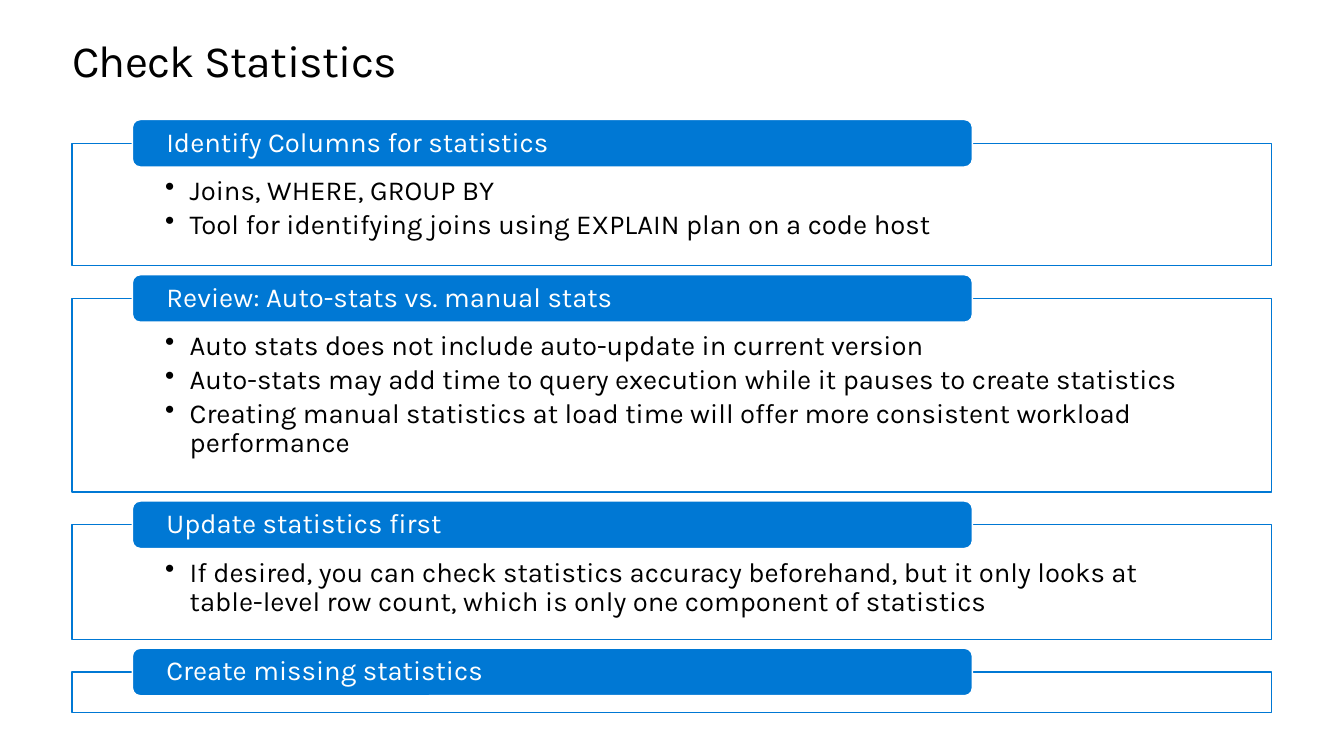
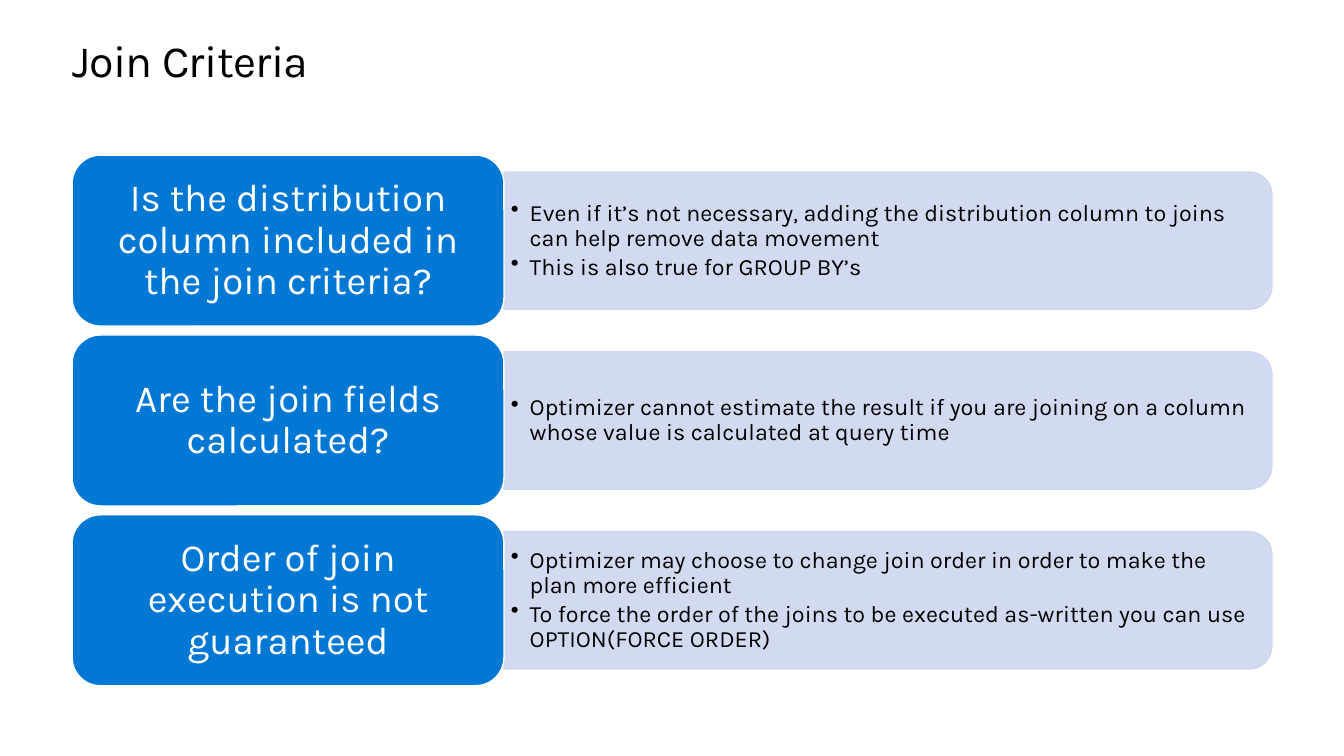
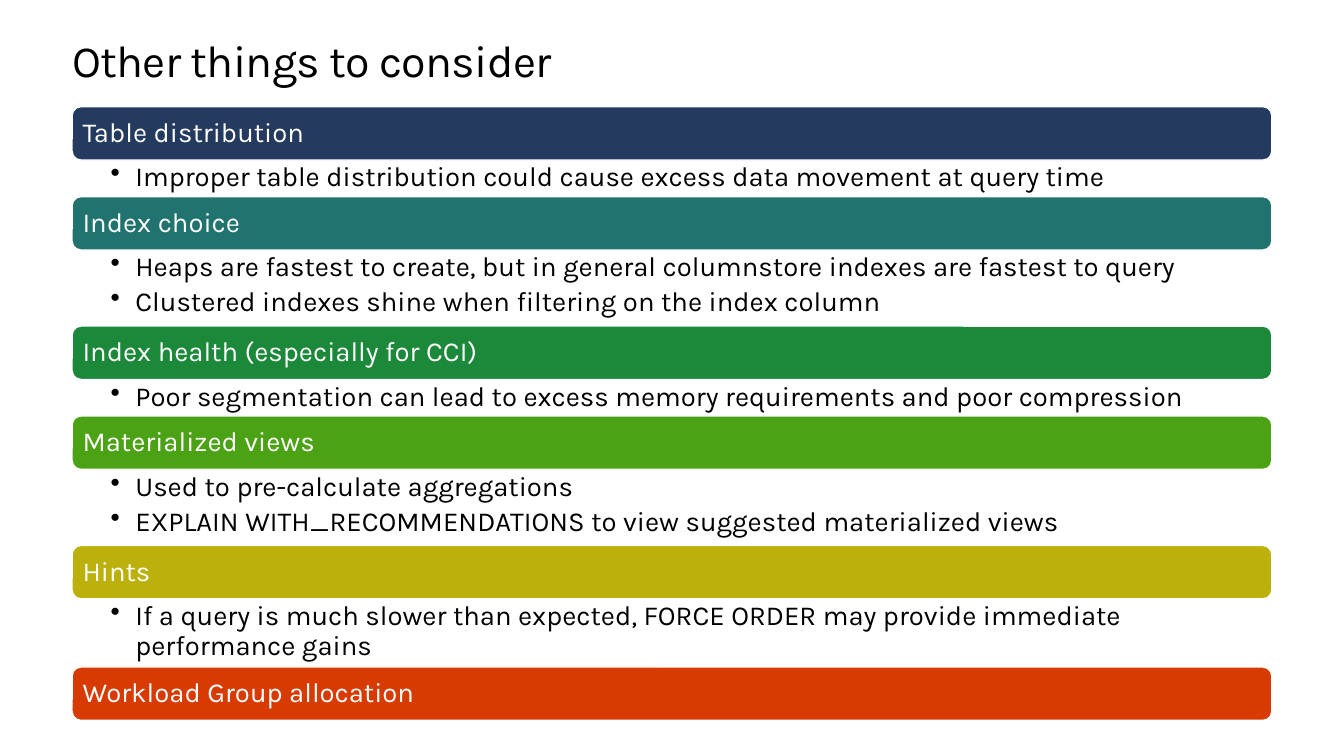
from dataclasses import dataclass

import pptx
import pptx.dml.color
import pptx.enum.shapes
import pptx.enum.text
import pptx.oxml
import pptx.oxml.ns
import pptx.util
from lxml import etree
from pptx.util import Inches

SHAPE = pptx.enum.shapes.MSO_SHAPE
ANCHOR = pptx.enum.text.MSO_ANCHOR
ALIGN = pptx.enum.text.PP_ALIGN
qn = pptx.oxml.ns.qn

FONT = "Karla"
COLORS = {
    "white": "FFFFFF",
    "black": "000000",
    "blue": "0078D4",
    "pale": "CCD6EF",
    "navy": "243A5E",
    "teal": "21736F",
    "green": "1C893A",
    "lime": "4CA215",
    "mustard": "BCB10C",
    "orange": "D83B01",
}
LEFT, WIDTH = 0.73, 12.14
HEADING_SIZE = 20


@dataclass(frozen=True)
class Box:
    left: float
    top: float
    width: float
    height: float

    def lengths(self) -> list:
        return [Inches(v) for v in (self.left, self.top, self.width, self.height)]


@dataclass(frozen=True)
class Topic:
    """A heading with its points; height is the room the points take."""
    heading: str
    points: tuple[str, ...] = ()
    height: float = 0
    color: str = "blue"


@dataclass(frozen=True)
class BulletStyle:
    size: float
    indent: float
    space_after: float


STATISTICS = [
    Topic("Identify Columns for statistics",
          ("Joins, WHERE, GROUP BY",
           "Tool for identifying joins using EXPLAIN plan on a code host"), 1.24),
    Topic("Review: Auto-stats vs. manual stats",
          ("Auto stats does not include auto-update in current version",
           "Auto-stats may add time to query execution while it pauses to create statistics",
           "Creating manual statistics at load time will offer more consistent workload "
           "performance"), 1.96),
    Topic("Update statistics first",
          ("If desired, you can check statistics accuracy beforehand, but it only looks at "
           "table-level row count, which is only one component of statistics",), 1.16),
    Topic("Create missing statistics", height=0.41),
]
JOINS = [
    Topic("Is the distribution column included in the join criteria?",
          ("Even if it’s not necessary, adding the distribution column to joins can help "
           "remove data movement",
           "This is also true for GROUP BY’s")),
    Topic("Are the join fields calculated?",
          ("Optimizer cannot estimate the result if you are joining on a column whose value "
           "is calculated at query time",)),
    Topic("Order of join execution is not guaranteed",
          ("Optimizer may choose to change join order in order to make the plan more efficient",
           "To force the order of the joins to be executed as-written you can use "
           "OPTION(FORCE ORDER)")),
]
CONSIDERATIONS = [
    Topic("Table distribution",
          ("Improper table distribution could cause excess data movement at query time",),
          0.37, "navy"),
    Topic("Index choice",
          ("Heaps are fastest to create, but in general columnstore indexes are fastest to query",
           "Clustered indexes shine when filtering on the index column"), 0.77, "teal"),
    Topic("Index health (especially for CCI)",
          ("Poor segmentation can lead to excess memory requirements and poor compression",),
          0.37, "green"),
    Topic("Materialized views",
          ("Used to pre-calculate aggregations",
           "EXPLAIN WITH_RECOMMENDATIONS to view suggested materialized views"), 0.77, "lime"),
    Topic("Hints",
          ("If a query is much slower than expected, FORCE ORDER may provide immediate "
           "performance gains",), 0.69, "mustard"),
    Topic("Workload Group allocation", color="orange"),
]


def rgb(color: str) -> pptx.dml.color.RGBColor:
    return pptx.dml.color.RGBColor.from_string(COLORS[color])


def fade(parent) -> None:
    """Make the solid fill directly under parent 90% opaque."""
    color = parent.find(qn("a:solidFill")).find(qn("a:srgbClr"))
    etree.SubElement(color, qn("a:alpha")).set("val", "90000")


def add_panel(slide, kind, box: Box, fill: str, line: str):
    panel = slide.shapes.add_shape(kind, *box.lengths())
    panel.shadow.inherit = False
    panel.fill.solid()
    panel.fill.fore_color.rgb = rgb(fill)
    panel.line.color.rgb = rgb(line)
    panel.line.width = pptx.util.Pt(1)
    return panel


def add_text_area(slide, box: Box):
    return slide.shapes.add_textbox(*box.lengths())


def set_frame(shape, insets: tuple[float, float, float, float], anchor):
    """Set insets (left, top, right, bottom) and anchor, and return the text frame."""
    frame = shape.text_frame
    frame.word_wrap = True
    frame.vertical_anchor = anchor
    (frame.margin_left, frame.margin_top,
     frame.margin_right, frame.margin_bottom) = map(Inches, insets)
    return frame


def add_run(paragraph, text: str, size: float, color: str):
    run = paragraph.add_run()
    run.text = text
    run.font.name = FONT
    run.font.size = pptx.util.Pt(size)
    run.font.color.rgb = rgb(color)
    return run


def write_heading(shape, text: str, size: float, insets, align=ALIGN.LEFT) -> None:
    paragraph = set_frame(shape, insets, ANCHOR.MIDDLE).paragraphs[0]
    paragraph.alignment = align
    paragraph.line_spacing = 0.9
    add_run(paragraph, text, size, "white")


def write_points(shape, points: tuple[str, ...], style: BulletStyle, insets,
                 anchor=ANCHOR.TOP) -> None:
    frame = set_frame(shape, insets, anchor)
    for index, point in enumerate(points):
        paragraph = frame.add_paragraph() if index else frame.paragraphs[0]
        paragraph.level = 1
        paragraph.alignment = ALIGN.LEFT
        paragraph.line_spacing = 0.9
        paragraph.space_after = pptx.util.Pt(style.space_after)
        properties = paragraph._p.get_or_add_pPr()
        properties.set("marL", str(Inches(style.indent)))
        properties.set("indent", str(-Inches(style.indent)))
        etree.SubElement(properties, qn("a:buChar")).set("char", "•")
        add_run(paragraph, point, style.size, "black")


def add_titled_slide(deck, title: str):
    slide = deck.slides.add_slide(deck.slide_layouts[6])
    title_area = add_text_area(slide, Box(LEFT, 0.36, WIDTH, 0.51))
    paragraph = set_frame(title_area, (0, 0, 0, 0), ANCHOR.TOP).paragraphs[0]
    paragraph.line_spacing = pptx.util.Pt(36.9)
    run = add_run(paragraph, title, 32.6, "black")
    run.font._element.set("spc", "-50")
    return slide


def build_statistics(deck) -> None:
    slide = add_titled_slide(deck, "Check Statistics")
    style = BulletStyle(HEADING_SIZE, 0.25, 3)
    top, gap, overlap = 1.45, 0.33, 0.24
    for topic in STATISTICS:
        outline = add_panel(slide, SHAPE.RECTANGLE, Box(LEFT, top, WIDTH, topic.height),
                            "white", "blue")
        fade(outline._element.spPr)
        write_points(outline, topic.points, style, (0.94, 0.34, 0.94, 0.16))
        tab = add_panel(slide, SHAPE.ROUNDED_RECTANGLE,
                        Box(1.34, top - overlap, 8.5, 2 * overlap), topic.color, "white")
        write_heading(tab, topic.heading, HEADING_SIZE, (0.32, 0, 0.32, 0))
        top += topic.height + gap


def build_joins(deck) -> None:
    slide = add_titled_slide(deck, "Join Criteria")
    style = BulletStyle(17, 0.19, 2.55)
    card_width, card_height, pitch = 4.37, 1.73, 1.82
    answer_left = LEFT + card_width
    answer_width, answer_height, text_height = 7.77, 1.39, 1.25
    for row, topic in enumerate(JOINS):
        top = 1.57 + row * pitch
        middle = top + card_height / 2
        # The panel is laid out upright, then turned about its centre.
        answer = add_panel(slide, SHAPE.ROUND_2_SAME_RECTANGLE,
                           Box(answer_left + (answer_width - answer_height) / 2,
                               middle - answer_width / 2, answer_height, answer_width),
                           "pale", "pale")
        answer.rotation = 90
        fade(answer._element.spPr)
        fade(answer._element.spPr.find(qn("a:ln")))
        points = add_text_area(slide, Box(answer_left, middle - text_height / 2,
                                          7.7, text_height))
        write_points(points, topic.points, style, (0.07, 0.04, 0.07, 0.04), ANCHOR.MIDDLE)
        card = add_panel(slide, SHAPE.ROUNDED_RECTANGLE,
                         Box(LEFT, top, card_width, card_height), topic.color, "white")
        write_heading(card, topic.heading, 28, (0.12, 0.06, 0.12, 0.06), ALIGN.CENTER)


def build_considerations(deck) -> None:
    slide = add_titled_slide(deck, "Other things to consider")
    style = BulletStyle(HEADING_SIZE, 0.25, 4)
    top, bar_height = 1.08, 0.54
    for topic in CONSIDERATIONS:
        bar = add_panel(slide, SHAPE.ROUNDED_RECTANGLE, Box(LEFT, top, WIDTH, bar_height),
                        topic.color, "white")
        write_heading(bar, topic.heading, HEADING_SIZE, (0.08, 0.08, 0.08, 0.08))
        top += bar_height
        if topic.points:
            points = add_text_area(slide, Box(LEFT, top, WIDTH, topic.height))
            write_points(points, topic.points, style, (0.39, 0.03, 0.16, 0.03))
            top += topic.height


def main() -> None:
    deck = pptx.Presentation()
    deck.slide_width, deck.slide_height = Inches(13.6), Inches(7.65)
    build_statistics(deck)
    build_joins(deck)
    build_considerations(deck)
    deck.save("out.pptx")


if __name__ == "__main__":
    main()
